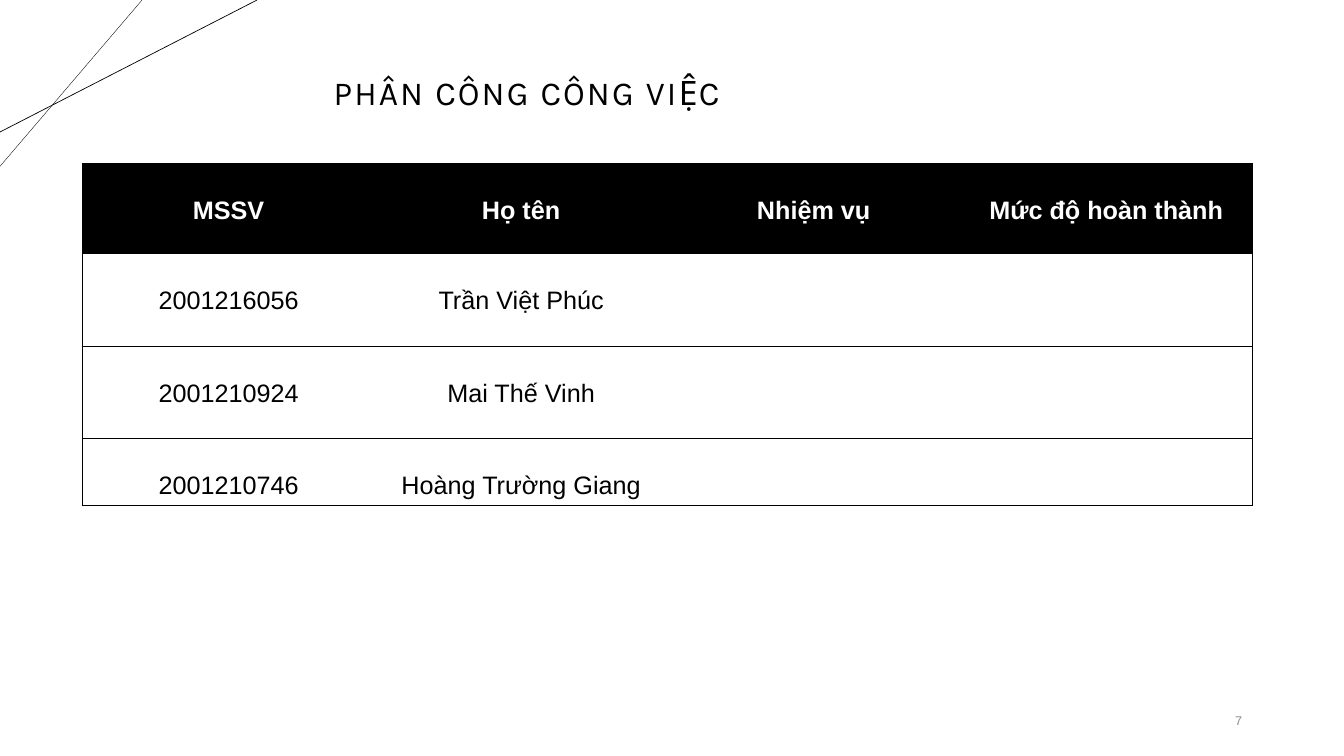
from dataclasses import dataclass

from lxml import etree
from pptx import Presentation
from pptx import util as u
from pptx.dml import color
from pptx.enum import shapes, text
from pptx.oxml import ns


@dataclass(frozen=True)
class Theme:
    ink = color.RGBColor(0, 0, 0)
    paper = color.RGBColor(255, 255, 255)
    muted = color.RGBColor(0x8C, 0x8C, 0x8C)
    title_font = "Karla"
    body_font = "Arial"
    title_size = u.Pt(24)
    body_size = u.Pt(18)
    number_size = u.Pt(9)
    rule = u.Pt(0.5)
    hairline = u.Pt(0.25)


THEME = Theme()
HEADINGS = ("MSSV", "Họ tên", "Nhiệm vụ", "Mức độ hoàn thành")
MEMBERS = (
    ("2001216056", "Trần Việt Phúc", "", ""),
    ("2001210924", "Mai Thế Vinh", "", ""),
    ("2001210746", "Hoàng Trường Giang", "", ""),
)
ROW_HEIGHTS = (64.08, 66.24, 66.24, 46.08)


def points(box):
    return [u.Pt(value) for value in box]


def apply(target, values):
    for name, value in values.items():
        setattr(target, name, value)


def write(paragraph, words, ink, paragraph_format, font_format):
    apply(paragraph, paragraph_format)
    run = paragraph.add_run()
    run.text = words
    apply(run.font, font_format)
    run.font.color.rgb = ink
    return run


def add_corner_lines(slide, box):
    left, top, width, height = box
    lines = (
        (left + 101.5, top, left, top + height, THEME.hairline),
        (left + width, top, left, top + 94.3, THEME.rule),
    )
    for *ends, weight in lines:
        connector = slide.shapes.add_connector(
            shapes.MSO_CONNECTOR.STRAIGHT, *points(ends))
        connector.line.width = weight
        connector.line.color.rgb = THEME.ink
        properties = connector._element.spPr
        etree.SubElement(properties, ns.qn("a:effectLst"))


def add_title(slide, box, words):
    title = slide.shapes.title
    apply(title, dict(zip(("left", "top", "width", "height"), points(box))))
    apply(title.text_frame, {
        "vertical_anchor": text.MSO_ANCHOR.MIDDLE,
        "auto_size": text.MSO_AUTO_SIZE.NONE,
        "word_wrap": True,
    })
    run = write(
        title.text_frame.paragraphs[0], words, THEME.ink,
        {"alignment": text.PP_ALIGN.LEFT, "line_spacing": 0.9},
        {"name": THEME.title_font, "size": THEME.title_size})
    run.font._element.set("spc", "150")


def set_borders(cell, visible):
    properties = cell._tc.get_or_add_tcPr()
    for side in "LRTB":
        line = etree.SubElement(
            properties, ns.qn(f"a:ln{side}"), w=str(int(THEME.rule)))
        if side in visible:
            fill = etree.SubElement(line, ns.qn("a:solidFill"))
            etree.SubElement(fill, ns.qn("a:srgbClr"), val=str(THEME.ink))
        else:
            etree.SubElement(line, ns.qn("a:noFill"))


def add_task_table(slide, box):
    rows = (HEADINGS, *MEMBERS)
    last_column = len(HEADINGS) - 1
    table = slide.shapes.add_table(
        len(rows), len(HEADINGS), *points(box)).table
    table.horz_banding = False
    for column in table.columns:
        column.width = u.Pt(box[2] / len(HEADINGS))
    for row_index, (values, height) in enumerate(zip(rows, ROW_HEIGHTS)):
        table.rows[row_index].height = u.Pt(height)
        header = row_index == 0
        for column_index, words in enumerate(values):
            cell = table.cell(row_index, column_index)
            sides = {"T", "B"}
            if column_index == 0:
                sides.add("L")
            if column_index == last_column:
                sides.add("R")
            set_borders(cell, sides)
            cell.fill.solid()
            cell.fill.fore_color.rgb = THEME.ink if header else THEME.paper
            if words:
                write(
                    cell.text_frame.paragraphs[0], words,
                    THEME.paper if header else THEME.ink,
                    {"alignment": text.PP_ALIGN.CENTER, "line_spacing": 2.0},
                    {"name": THEME.body_font, "size": THEME.body_size,
                     "bold": header})


def add_slide_number(slide, box, number):
    frame = slide.shapes.add_textbox(*points(box)).text_frame
    apply(frame, {"word_wrap": True,
                  "vertical_anchor": text.MSO_ANCHOR.MIDDLE})
    write(frame.paragraphs[0], str(number), THEME.muted,
          {"alignment": text.PP_ALIGN.RIGHT},
          {"name": THEME.body_font, "size": THEME.number_size})


def main():
    presentation = Presentation()
    apply(presentation, {"slide_width": u.Pt(960), "slide_height": u.Pt(540)})
    slide = presentation.slides.add_slide(presentation.slide_layouts[5])
    slide.background.fill.solid()
    slide.background.fill.fore_color.rgb = THEME.paper
    add_corner_lines(slide, (0, 0, 183.6, 118.8))
    add_task_table(slide, (58.8, 116.9, 835.9, 242.64))
    add_slide_number(slide, (816.5, 500.4, 77.8, 28.8), 7)
    add_title(slide, (231.1, 44.6, 663.1, 45.4), "PHÂN CÔNG CÔNG VIỆC")
    presentation.save("out.pptx")


if __name__ == "__main__":
    main()
